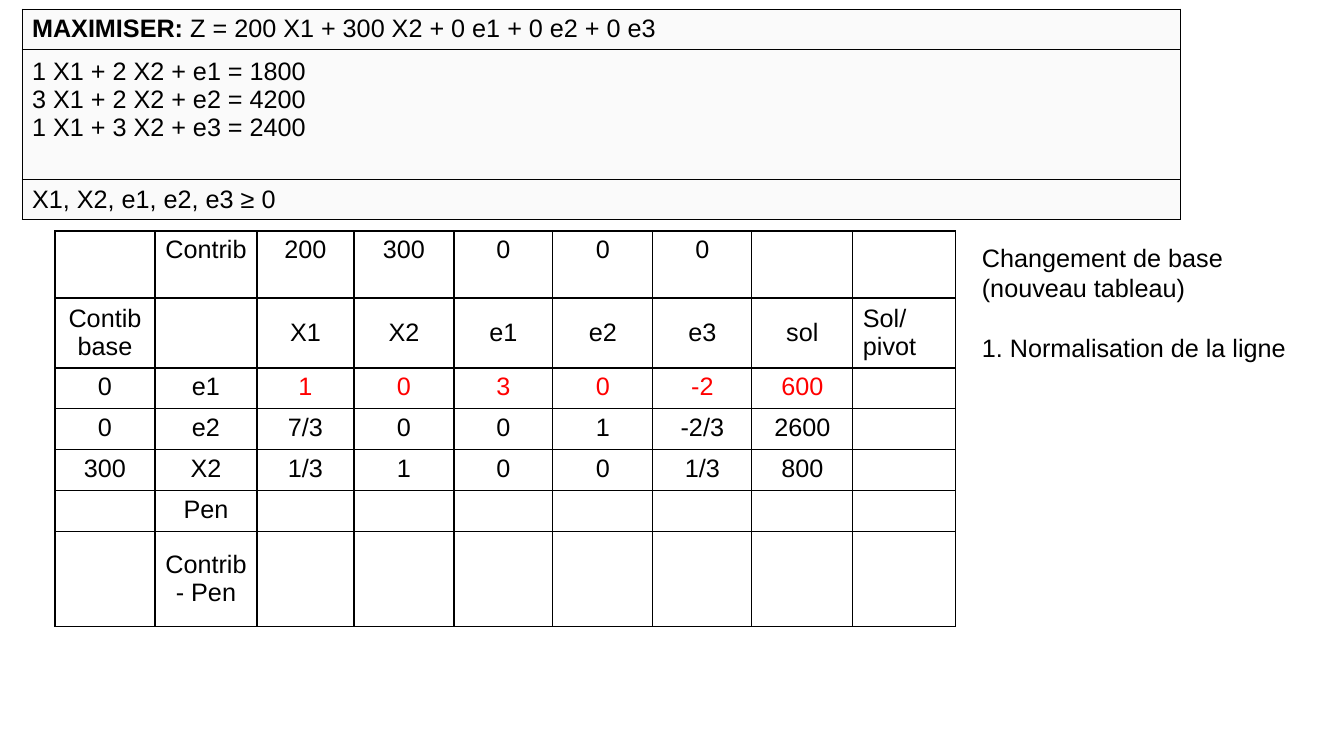
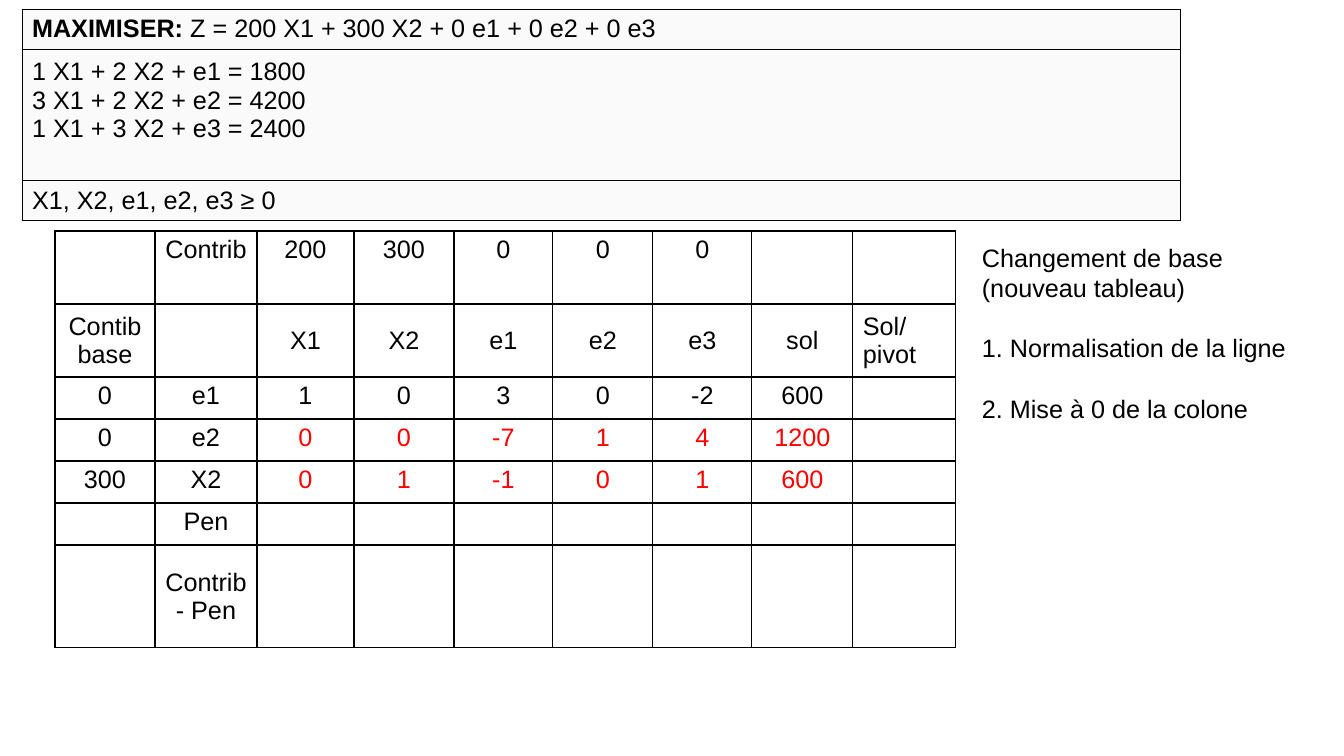
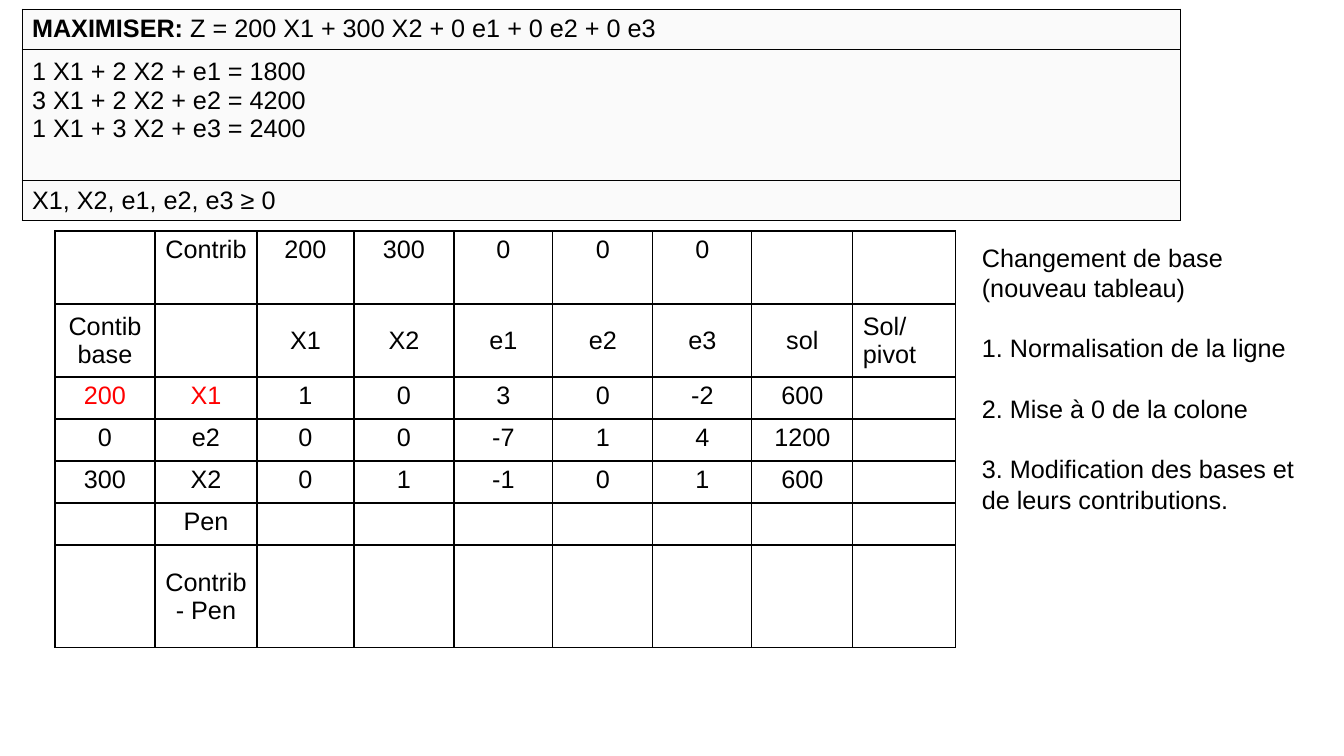
import dataclasses

import lxml.etree
import pptx
import pptx.dml.color
import pptx.enum.text
import pptx.oxml.ns
import pptx.util

SLIDE_W, SLIDE_H = 1344, 756
PX = 12192000 / SLIDE_W  # EMU in one px

ALIGN = pptx.enum.text.PP_ALIGN
ANCHOR = pptx.enum.text.MSO_ANCHOR


@dataclasses.dataclass(frozen=True)
class Theme:
    font: str = "Arial"
    size: float = 18
    ink: str = "000000"
    changed: str = "FF0000"
    panel: str = "FAFAFA"
    panel_border: float = 0.75
    grid_border: float = 0.96
    step_gap: float = 21.6


THEME = Theme()

# Linear programme, the same on every slide
OBJECTIVE = [("MAXIMISER: ", True), ("Z = 200 X1 + 300 X2 + 0 e1 + 0 e2 + 0 e3", False)]
CONSTRAINTS = [
    "1 X1 + 2 X2 + e1 = 1800",
    "3 X1 + 2 X2 + e2 = 4200",
    "1 X1 + 3 X2 + e3 = 2400",
]
SIGNS = "X1, X2, e1, e2, e3 ≥ 0"

# Simplex tableau: fixed rows around the three basis rows
HEADER_ROWS = [
    ["", "Contrib", "200", "300", "0", "0", "0", "", ""],
    ["Contib base", "", "X1", "X2", "e1", "e2", "e3", "sol", "Sol/pivot"],
]
FOOTER_ROWS = [["", "Pen"], ["", "Contrib - Pen"]]
TABLEAU_COLS = [100, 102, 97, 100, 99, 100, 99, 101, 103]
CENTRED_ROWS = (1, 6)
TALL_ROWS = [73, 73, 42, 42, 42, 42, 103]

E1_ROW = ["0", "e1", "1", "0", "3", "0", "-2", "600"]
X1_ROW = ["200", "X1"] + E1_ROW[2:]
PIVOTED_ROWS = [
    ["0", "e2", "0", "0", "-7", "1", "4", "1200"],
    ["300", "X2", "0", "1", "-1", "0", "1", "600"],
]

STEPS = [
    "Changement de base (nouveau tableau)",
    "1. Normalisation de la ligne",
    "2. Mise à 0 de la colone",
    "3. Modification des bases et de leurs contributions.",
]

# One entry per slide; changed holds the (row, column) cells shown in red
ITERATIONS = [
    dict(
        basis=[
            E1_ROW,
            ["0", "e2", "7/3", "0", "0", "1", "-2/3", "2600"],
            ["300", "X2", "1/3", "1", "0", "0", "1/3", "800"],
        ],
        changed={(2, col) for col in range(2, 8)},
        heights=[67, 70, 40, 40, 40, 40, 95],
        step_count=2,
    ),
    dict(
        basis=[E1_ROW] + PIVOTED_ROWS,
        changed={(row, col) for row in (3, 4) for col in range(2, 8)},
        heights=TALL_ROWS,
        step_count=3,
    ),
    dict(
        basis=[X1_ROW] + PIVOTED_ROWS,
        changed={(2, 0), (2, 1)},
        heights=TALL_ROWS,
        step_count=4,
    ),
]


def px(length):
    return pptx.util.Emu(round(length * PX))


def write_text(frame, paragraphs, color=THEME.ink, align=ALIGN.LEFT, gap=0):
    """Each paragraph is a string or a list of (text, bold) runs."""
    frame.word_wrap = True
    for index, content in enumerate(paragraphs):
        paragraph = frame.paragraphs[0] if index == 0 else frame.add_paragraph()
        paragraph.alignment = align
        if index and gap:
            paragraph.space_before = pptx.util.Pt(gap)
        runs = [(content, False)] if isinstance(content, str) else content
        for text, bold in runs:
            run = paragraph.add_run()
            run.text = text
            run.font.name = THEME.font
            run.font.size = pptx.util.Pt(THEME.size)
            run.font.bold = bold
            run.font.color.rgb = pptx.dml.color.RGBColor.from_string(color)


def style_cell(cell, border, fill=None):
    properties = cell._tc.get_or_add_tcPr()
    qn = pptx.oxml.ns.qn
    for side in ("a:lnL", "a:lnR", "a:lnT", "a:lnB"):
        line = lxml.etree.SubElement(properties, qn(side), w=str(pptx.util.Pt(border)))
        solid = lxml.etree.SubElement(line, qn("a:solidFill"))
        lxml.etree.SubElement(solid, qn("a:srgbClr"), val=THEME.ink)
    if fill:
        cell.fill.solid()
        cell.fill.fore_color.rgb = pptx.dml.color.RGBColor.from_string(fill)
    else:
        cell.fill.background()


def add_grid(slide, left, top, widths, heights, border, fill=None):
    frame = slide.shapes.add_table(
        len(heights), len(widths), px(left), px(top), px(sum(widths)), px(sum(heights))
    )
    grid = frame.table
    grid.first_row = grid.horz_banding = False
    for column, width in zip(grid.columns, widths):
        column.width = px(width)
    for row, height in zip(grid.rows, heights):
        row.height = px(height)
    for cell in grid.iter_cells():
        style_cell(cell, border, fill)
    return grid


def add_programme(slide, left, top, width):
    """Objective, constraints and sign conditions."""
    heights = [40, 131, 40]
    panel = add_grid(slide, left, top, [width], heights, THEME.panel_border, THEME.panel)
    for row, paragraphs in enumerate([[OBJECTIVE], CONSTRAINTS, [SIGNS]]):
        cell = panel.cell(row, 0)
        cell.vertical_anchor = ANCHOR.MIDDLE
        write_text(cell.text_frame, paragraphs)
    panel.cell(1, 0).margin_bottom = px(34)


def add_tableau(slide, left, top, basis, changed, heights):
    """Simplex tableau with the changed cells in red."""
    tableau = add_grid(slide, left, top, TABLEAU_COLS, heights, THEME.grid_border)
    last_col = len(TABLEAU_COLS) - 1
    for row, values in enumerate(HEADER_ROWS + basis + FOOTER_ROWS):
        for col, value in enumerate(values):
            if not value:
                continue
            cell = tableau.cell(row, col)
            cell.vertical_anchor = ANCHOR.MIDDLE if row in CENTRED_ROWS else ANCHOR.TOP
            write_text(
                cell.text_frame,
                [value],
                color=THEME.changed if (row, col) in changed else THEME.ink,
                align=ALIGN.LEFT if col == last_col else ALIGN.CENTER,
            )


def add_steps(slide, left, top, width, height, count):
    """Steps of the change of basis reached so far."""
    steps = slide.shapes.add_textbox(px(left), px(top), px(width), px(height))
    write_text(steps.text_frame, STEPS[:count], gap=THEME.step_gap)


def add_iteration(deck, basis, changed, heights, step_count):
    slide = deck.slides.add_slide(deck.slide_layouts[6])
    add_programme(slide, 22, 9, 1159)
    add_tableau(slide, 55, 231, basis, changed, heights)
    add_steps(slide, 972, 237, 364, 368, step_count)


def main():
    deck = pptx.Presentation()
    deck.slide_width, deck.slide_height = px(SLIDE_W), px(SLIDE_H)
    for iteration in ITERATIONS:
        add_iteration(deck, **iteration)
    deck.save("out.pptx")


if __name__ == "__main__":
    main()
